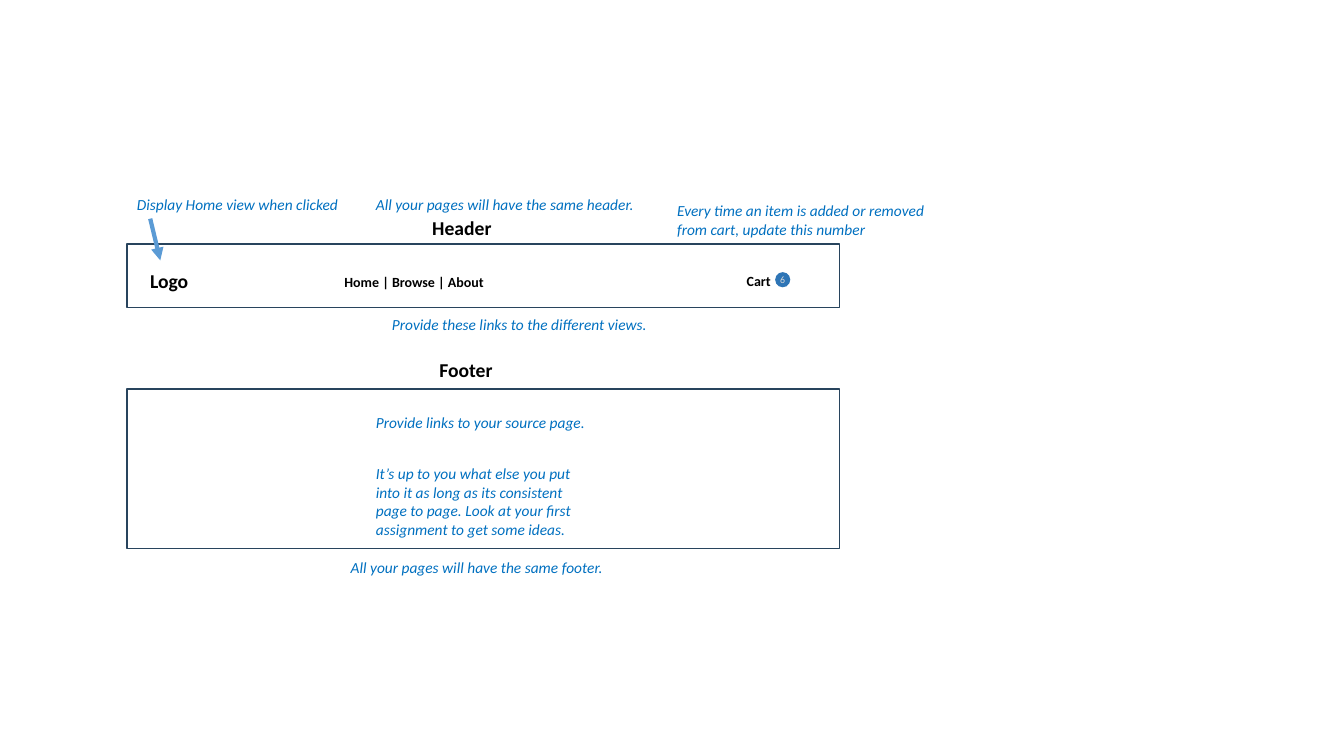
from dataclasses import dataclass

import lxml.etree
import pptx
import pptx.dml.color
import pptx.enum.shapes
import pptx.enum.text
import pptx.oxml
import pptx.oxml.ns
import pptx.util

Pt = pptx.util.Pt
COLORS = {
    "frame": "28445D",
    "badge": "2E75B6",
    "count": "D9D9D9",
    "label": "000000",
    "note": "0070C0",
    "arrow": "5B9BD5",
}


@dataclass
class Box:
    left: float
    top: float
    width: float
    height: float


@dataclass
class Label:
    text: str
    box: Box
    size: float


@dataclass
class Note:
    text: str
    box: Box


FRAMES = [Box(90.7, 174.2, 509, 45.4), Box(90.7, 277.9, 509, 113.8)]
BADGE = Box(553.7, 194.4, 10.8, 10.8)
LABELS = [
    Label("Logo", Box(100.1, 188.6, 58.3, 24.2), 14),
    Label("Home | Browse | About", Box(239, 191.5, 204.5, 19.4), 10),
    Label("Cart", Box(526.3, 190.8, 51.8, 19.4), 10),
    Label("Header", Box(301.7, 150.5, 153.4, 24.2), 14),
    Label("Footer", Box(306.7, 252, 153.4, 24.2), 14),
]
NOTES = [
    Note("It’s up to you what else you put into it as long as its consistent "
         "page to page. Look at your first assignment to get some ideas.",
         Box(261.4, 328.3, 168.5, 60.5)),
    Note("Provide links to your source page.", Box(261.4, 291.6, 168.5, 20.6)),
    Note("All your pages will have the same header.", Box(261.4, 136.1, 203.8, 20.6)),
    Note("Display Home view when clicked", Box(90.7, 136.1, 185.8, 20.6)),
    Note("Every time an item is added or removed from cart, update this number",
         Box(476.6, 140.4, 203.8, 33.8)),
    Note("Provide these links to the different views.", Box(272.9, 221.8, 203.8, 20.6)),
    Note("All your pages will have the same footer.", Box(243.4, 395.3, 203.8, 20.6)),
]


def color(name: str) -> pptx.dml.color.RGBColor:
    return pptx.dml.color.RGBColor.from_string(COLORS[name])


def write(frame, text: str, *, size: float, tint: str, bold: bool = False,
          italic: bool = False, align=None) -> None:
    line = frame.paragraphs[0]
    line.alignment = align
    run = line.add_run()
    run.text = text
    font = run.font
    font.name = "Calibri"
    font.size = Pt(size)
    font.bold = bold
    font.italic = italic
    font.color.rgb = color(tint)


def add_text(slide, text: str, box: Box, **style) -> None:
    shape = slide.shapes.add_textbox(
        Pt(box.left), Pt(box.top), Pt(box.width), Pt(box.height))
    frame = shape.text_frame
    frame.word_wrap = True
    frame.auto_size = pptx.enum.text.MSO_AUTO_SIZE.SHAPE_TO_FIT_TEXT
    write(frame, text, **style)


def add_shape(slide, kind, box: Box):
    shape = slide.shapes.add_shape(
        kind, Pt(box.left), Pt(box.top), Pt(box.width), Pt(box.height))
    shape.shadow.inherit = False
    return shape


def add_frame(slide, box: Box) -> None:
    shape = add_shape(slide, pptx.enum.shapes.MSO_SHAPE.RECTANGLE, box)
    shape.fill.background()
    shape.line.color.rgb = color("frame")
    shape.line.width = Pt(1)


def add_badge(slide, text: str, box: Box) -> None:
    shape = add_shape(slide, pptx.enum.shapes.MSO_SHAPE.OVAL, box)
    shape.fill.solid()
    shape.fill.fore_color.rgb = color("badge")
    shape.line.fill.background()
    frame = shape.text_frame
    frame.margin_left = frame.margin_right = 0
    frame.margin_top = frame.margin_bottom = 0
    frame.vertical_anchor = pptx.enum.text.MSO_ANCHOR.MIDDLE
    write(frame, text, size=7, tint="count", align=pptx.enum.text.PP_ALIGN.CENTER)


def add_arrow(slide, x: float, y: float, end_x: float, end_y: float) -> None:
    arrow = slide.shapes.add_connector(
        pptx.enum.shapes.MSO_CONNECTOR.STRAIGHT, Pt(x), Pt(y), Pt(end_x), Pt(end_y))
    arrow.line.color.rgb = color("arrow")
    arrow.line.width = Pt(3)
    qn = pptx.oxml.ns.qn
    props = arrow.element.spPr
    lxml.etree.SubElement(props.find(qn("a:ln")), qn("a:tailEnd"), type="triangle")
    lxml.etree.SubElement(props, qn("a:effectLst"))


def main() -> None:
    deck = pptx.Presentation()
    deck.slide_width = Pt(960)
    deck.slide_height = Pt(540)
    slide = deck.slides.add_slide(deck.slide_layouts[6])
    for box in FRAMES:
        add_frame(slide, box)
    add_badge(slide, "6", BADGE)
    for label in LABELS:
        add_text(slide, label.text, label.box, size=label.size, tint="label", bold=True)
    for note in NOTES:
        add_text(slide, note.text, note.box, size=11, tint="note", italic=True)
    add_arrow(slide, 107.3, 156.2, 114.5, 186)
    deck.save("out.pptx")


if __name__ == "__main__":
    main()
